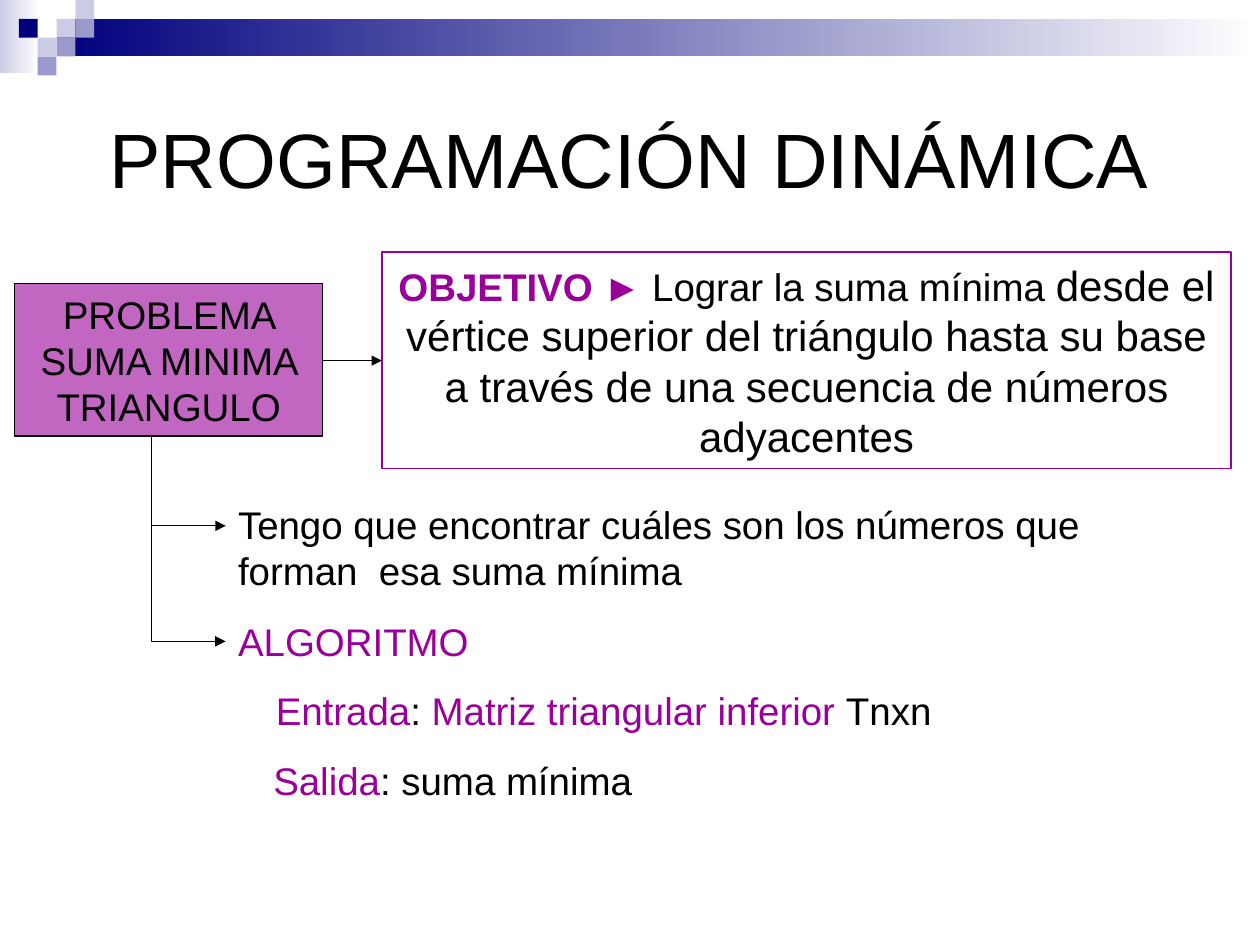
from lxml.etree import SubElement
from pptx import Presentation
from pptx.dml.color import RGBColor as RGB
from pptx.enum.shapes import MSO_CONNECTOR as CONN, MSO_SHAPE as SHAPE
from pptx.enum.text import MSO_ANCHOR as ANCHOR, PP_ALIGN as ALIGN
from pptx.oxml.ns import qn
from pptx.util import Cm, Pt

COLORS = {"black": "000000", "white": "FFFFFF", "purple": "990099",
          "navy": "00007D", "pale": "CCCCE6", "mid": "9999CC"}
CELL = 0.38
BANDS = [((0, 0, 0.79, 1.47), "pale"), ((1.14, CELL, 24.26, 0.76), "navy")]
SQUARES = [(3, 1, "pale"), (4, 0, "pale"), (4, 1, "mid"), (2, 2, "pale"),
           (1, 1, "navy"), (3, 2, "mid"), (2, 3, "mid")]

CENTER = {"alignment": ALIGN.CENTER}
LEFT = {"alignment": ALIGN.LEFT}
MIDDLE = {"vertical_anchor": ANCHOR.MIDDLE}
TOP = {"vertical_anchor": ANCHOR.TOP}
BOXES = [
    {"at": (7.7, 5.08, 17.12, 4.37), "line": "purple", "para": CENTER, "frame": MIDDLE,
     "runs": [("OBJETIVO ", "purple", 22, True), ("►", "purple", 22, False),
              (" Lograr la suma mínima ", "black", 22, False),
              ("desde el vértice superior del triángulo hasta su base a través de "
               "una secuencia de números adyacentes", "black", 24, False)]},
    {"at": (0.3, 5.72, 6.2, 3.07), "line": "black", "fill": "purple", "alpha": 60,
     "para": CENTER, "frame": MIDDLE,
     "runs": [("PROBLEMA SUMA MINIMA TRIANGULO", "black", 22, False)]},
]
TEXTS = [
    {"at": (1.27, 1.27, 22.86, 3.81), "para": CENTER, "frame": MIDDLE,
     "runs": [("PROGRAMACIÓN DINÁMICA", "black", 44, False)]},
    {"at": (4.55, 9.98, 19.96, 2.13), "para": LEFT, "frame": TOP,
     "runs": [("Tengo que encontrar cuáles son los números que forman  esa suma mínima",
               "black", 22, False)]},
    {"at": (4.55, 12.34, 17.91, 1.19), "para": LEFT, "frame": TOP,
     "runs": [("ALGORITMO", "purple", 22, False)]},
    {"at": (5.31, 13.72, 17.15, 1.19), "para": LEFT, "frame": TOP,
     "runs": [("Entrada", "purple", 22, False), (": ", "black", 22, False),
              ("Matriz triangular inferior ", "purple", 22, False),
              ("Tnxn", "black", 22, False)]},
    {"at": (5.26, 15.14, 17.91, 1.19), "para": LEFT, "frame": TOP,
     "runs": [("Salida", "purple", 22, False), (": suma mínima", "black", 22, False)]},
]
ARROWS = [(6.5, 7.27, 7.7, 7.27), (3.05, 10.6, 4.55, 10.6)]
ELBOW = (3.05, 8.79, 4.55, 12.93)


def rgb(name):
    return RGB.from_string(COLORS[name])


def add_rect(at, fill=None, line=None):
    sp = shapes.add_shape(SHAPE.RECTANGLE, *map(Cm, at))
    sp.shadow.inherit = False
    if fill:
        sp.fill.solid()
        sp.fill.fore_color.rgb = rgb(fill)
    else:
        sp.fill.background()
    if line:
        sp.line.color.rgb = rgb(line)
        sp.line.width = Pt(0.75)
    else:
        sp.line.fill.background()
    return sp


def write(sp, item):
    tf = sp.text_frame
    tf.word_wrap = True
    p = tf.paragraphs[0]
    for target, formats in ((tf, item["frame"]), (p, item["para"])):
        for key, value in formats.items():
            setattr(target, key, value)
    for text, color, size, bold in item["runs"]:
        r = p.add_run()
        r.text = text
        for key, value in {"name": "Arial", "size": Pt(size), "bold": bold}.items():
            setattr(r.font, key, value)
        r.font.color.rgb = rgb(color)


def add_arrow(kind, ends):
    c = shapes.add_connector(kind, *map(Cm, ends))
    c.line.color.rgb = rgb("black")
    c.line.width = Pt(0.75)
    SubElement(c.line._get_or_add_ln(), qn("a:tailEnd"), type="triangle")
    SubElement(c._element.spPr, qn("a:effectLst"))
    return c


def add_elbow(x1, y1, x2, y2):
    mx, my = (x1 + x2) / 2, (y1 + y2) / 2
    dx, dy = (y2 - y1) / 2, (x2 - x1) / 2
    c = add_arrow(CONN.ELBOW, (mx + dx, my - dy, mx - dx, my + dy))
    sp_pr = c._element.spPr
    sp_pr.find(qn("a:xfrm")).set("rot", str(270 * 60000))
    sp_pr.find(qn("a:prstGeom")).set("prst", "bentConnector2")


prs = Presentation()
prs.slide_width, prs.slide_height = Cm(25.4), Cm(19.05)
shapes = prs.slides.add_slide(prs.slide_layouts[6]).shapes

for at, color in BANDS:
    sp = add_rect(at)
    sp.fill.gradient()
    sp.fill.gradient_angle = 0
    for stop, name in zip(sp.fill.gradient_stops, (color, "white")):
        stop.color.rgb = rgb(name)
for col, row, color in SQUARES:
    add_rect((col * CELL, row * CELL, CELL, CELL), color)

for item in TEXTS:
    write(shapes.add_textbox(*map(Cm, item["at"])), item)
for ends in ARROWS:
    add_arrow(CONN.STRAIGHT, ends)
add_elbow(*ELBOW)
for item in BOXES:
    sp = add_rect(item["at"], item.get("fill"), item["line"])
    if "alpha" in item:
        color = sp._element.spPr.find(qn("a:solidFill"))[0]
        SubElement(color, qn("a:alpha"), val=str(item["alpha"] * 1000))
    write(sp, item)

prs.save("out.pptx")
